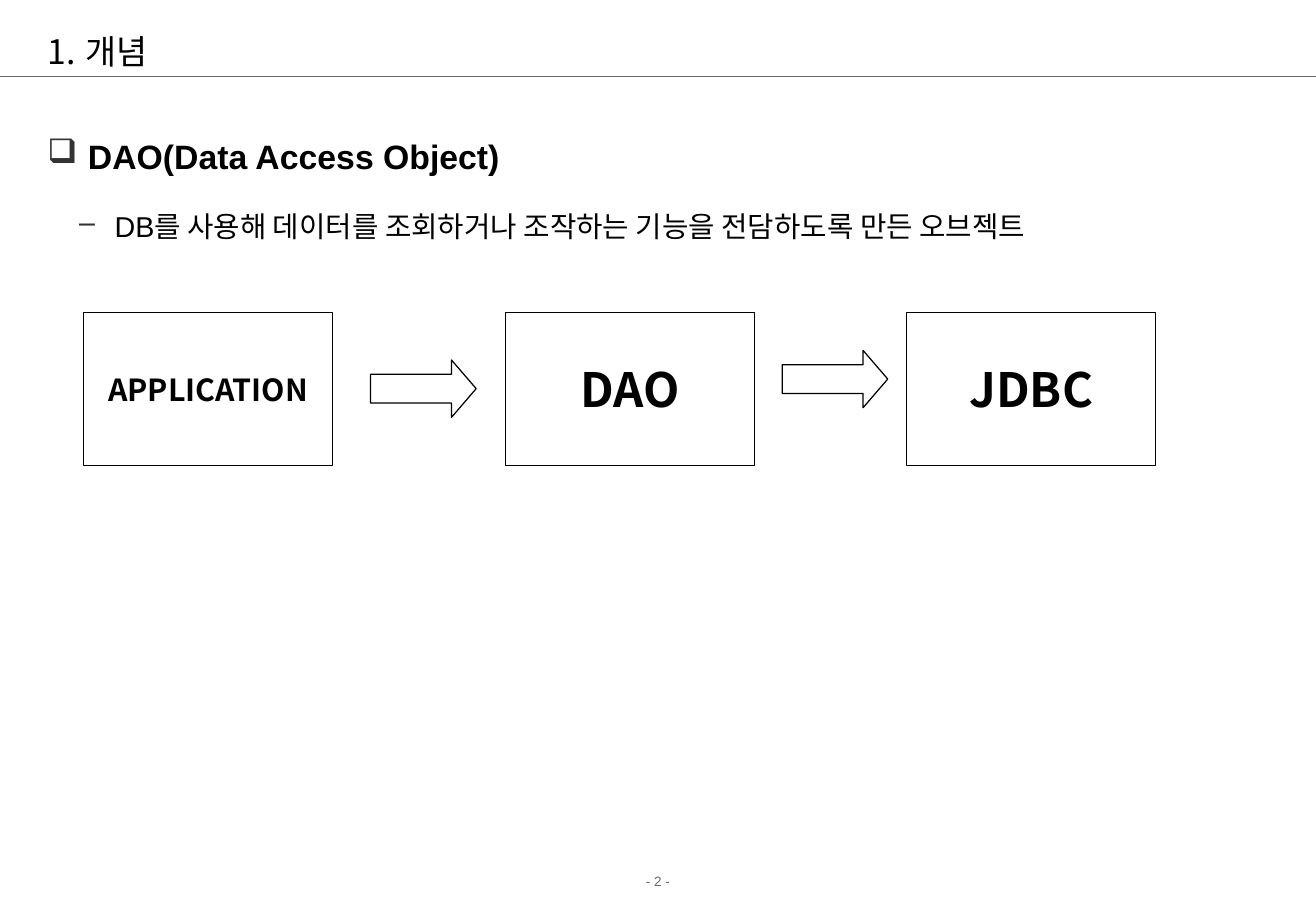
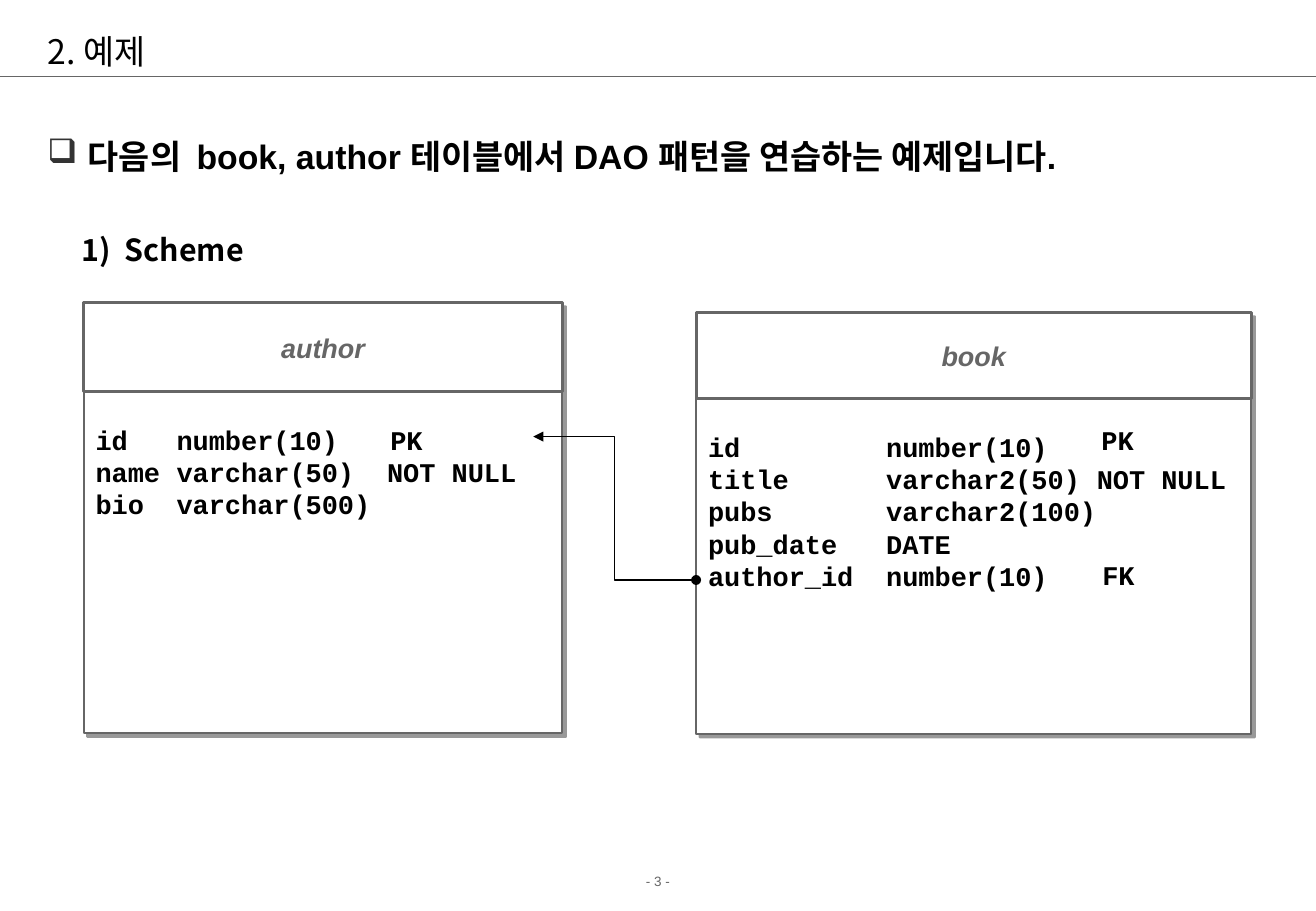
from lxml.etree import SubElement
from pptx import Presentation
from pptx.dml.color import RGBColor
from pptx.enum.shapes import MSO_CONNECTOR, MSO_SHAPE
from pptx.enum.text import MSO_ANCHOR, PP_ALIGN
from pptx.oxml.ns import qn
from pptx.util import Pt

WIDTH, HEIGHT = 780.13, 540
COLORS = {"black": "000000", "bullet": "333333", "gray": "666666", "white": "FFFFFF"}
SANS, MONO, KOREAN = "Arial", "Courier New", "Noto Sans CJK KR"
CONTENT_BOX = (21, 60, 732, 414)
MONO_ADVANCE = 9.6  # width of one 16 pt Courier New character


def color(name):
    return RGBColor.from_string(COLORS[name])


def add_xml(parent, tag, **attributes):
    return SubElement(parent, qn(tag), {key: str(value) for key, value in attributes.items()})


# Text helpers
def write(paragraph, text, size, font=SANS, ink="black", bold=False, italic=False):
    paragraph.text = text
    for run in paragraph.runs:
        run.font.size, run.font.name = Pt(size), font
        run.font.bold, run.font.italic = bold, italic
        run.font.color.rgb = color(ink)
        if font == KOREAN:
            add_xml(run.font._element, "a:ea", typeface=font)


def indent(paragraph, left, hanging):
    properties = paragraph._p.get_or_add_pPr()
    properties.set("marL", str(Pt(left)))
    properties.set("indent", str(Pt(-hanging)))
    return properties


def add_bullet(paragraph, left, hanging, ink, tag, **attributes):
    properties = indent(paragraph, left, hanging)
    bullet_color = add_xml(properties, "a:buClr")
    add_xml(bullet_color, "a:srgbClr", val=COLORS[ink])
    add_xml(properties, tag, **attributes)


def add_text_box(shapes, box, anchor=MSO_ANCHOR.TOP):
    text_frame = shapes.add_textbox(*map(Pt, box)).text_frame
    text_frame.word_wrap = True
    text_frame.vertical_anchor = anchor
    return text_frame


# Shape helpers
def add_outlined(shapes, kind, box, line="black", width=0.75, fill=None):
    shape = shapes.add_shape(kind, *map(Pt, box))
    shape.shadow.inherit = False
    if fill:
        shape.fill.solid()
        shape.fill.fore_color.rgb = color(fill)
    else:
        shape.fill.background()
    shape.line.color.rgb = color(line)
    shape.line.width = Pt(width)
    return shape


def add_label(shape, text, size, **style):
    text_frame = shape.text_frame
    text_frame.word_wrap = True
    text_frame.vertical_anchor = MSO_ANCHOR.MIDDLE
    paragraph = text_frame.paragraphs[0]
    paragraph.alignment = PP_ALIGN.CENTER
    write(paragraph, text, size, bold=True, **style)


def add_line(shapes, kind, start, end, ink):
    connector = shapes.add_connector(kind, *map(Pt, (*start, *end)))
    connector.line.color.rgb = color(ink)
    connector.line.width = Pt(0.75)
    add_xml(connector._element.spPr, "a:effectLst")
    return connector


# Shared slide frame: footer, rule and title
def add_framed_slide(presentation, page, title, numbered=False):
    slide = presentation.slides.add_slide(presentation.slide_layouts[6])
    footer = add_text_box(slide.shapes, (0, 514.2, WIDTH, 17.5)).paragraphs[0]
    footer.alignment = PP_ALIGN.CENTER
    footer.space_before = Pt(5)
    write(footer, f"- {page} -", 8, ink="gray")
    add_line(slide.shapes, MSO_CONNECTOR.STRAIGHT, (0, 45.2), (WIDTH, 45.2), "gray")
    heading = add_text_box(slide.shapes, (21, 15, 732, 30), MSO_ANCHOR.MIDDLE).paragraphs[0]
    write(heading, title, 20, KOREAN)
    if numbered:
        add_bullet(heading, 22.5, 22.5, "black", "a:buAutoNum", type="arabicPeriod")
    else:
        indent(heading, 22.5, 22.5)
    return slide


def add_topic(slide, text):
    text_frame = add_text_box(slide.shapes, CONTENT_BOX)
    topic = text_frame.paragraphs[0]
    topic.line_spacing, topic.space_before = 1.7, Pt(6.2)
    write(topic, text, 20, bold=True)
    add_bullet(topic, 24, 24, "bullet", "a:buChar", char="❑")
    return text_frame


# Row of layers joined by block arrows
def add_layer_flow(slide, left, top):
    for offset, text, size in ((250, "DAO", 28), (488, "JDBC", 28), (0, "APPLICATION", 18)):
        layer = add_outlined(slide.shapes, MSO_SHAPE.RECTANGLE, (left + offset, top, 147.6, 90.7))
        add_label(layer, text, size, font=KOREAN)
        text_frame = layer.text_frame
        text_frame.margin_left = text_frame.margin_right = 0
        text_frame.margin_top = text_frame.margin_bottom = 0
    for x, y in ((170.2, 28.2), (414.2, 22.5)):
        arrow = add_outlined(slide.shapes, MSO_SHAPE.RIGHT_ARROW, (left + x, top + y, 62.6, 34))
        arrow.adjustments[1] = 0.43


# Database table card: frame, name band and column list
def add_table_card(slide, box, band_height, name, columns, tab_characters):
    left, top, width, height = box
    shapes = slide.shapes.add_group_shape().shapes
    frame = add_outlined(shapes, MSO_SHAPE.RECTANGLE, box, "gray", 1.25, "white")
    shadow = add_xml(frame._element.spPr.find(qn("a:effectLst")), "a:outerShdw",
                     blurRad=0, dist=Pt(3), dir=2700000, algn="ctr", rotWithShape=0)
    shadow_color = add_xml(shadow, "a:srgbClr", val=COLORS["black"])
    add_xml(shadow_color, "a:alpha", val=40000)
    band = add_outlined(shapes, MSO_SHAPE.RECTANGLE, (left, top, width, band_height),
                        "gray", 1.75, "white")
    add_label(band, name, 16, ink="gray", italic=True)

    list_box = (left, top + band_height + 15, width, 18 * len(columns) + 11)
    text_frame = add_text_box(shapes, list_box)
    text_frame.text = "\n".join(columns)
    for paragraph, column in zip(text_frame.paragraphs, columns):
        write(paragraph, column, 16, MONO, bold=True)
        tabs = add_xml(paragraph._p.get_or_add_pPr(), "a:tabLst")
        for count in tab_characters:
            add_xml(tabs, "a:tab", pos=Pt(count * MONO_ADVANCE), algn="l")


def add_key_mark(slide, text, left, top):
    paragraph = add_text_box(slide.shapes, (left, top, 40, 26.5)).paragraphs[0]
    paragraph.alignment = PP_ALIGN.CENTER
    write(paragraph, text, 16, MONO, bold=True)


# Slides
def add_concept_slide(presentation):
    slide = add_framed_slide(presentation, 2, "개념", numbered=True)
    detail = add_topic(slide, "DAO(Data Access Object)").add_paragraph()
    detail.level = 1
    detail.line_spacing, detail.space_before = 1.7, Pt(5.2)
    write(detail, "DB를 사용해 데이터를 조회하거나 조작하는 기능을 전담하도록 만든 오브젝트", 17)
    add_bullet(detail, 39.8, 21, "bullet", "a:buChar", char="–")
    add_layer_flow(slide, 49.5, 185.2)


def add_example_slide(presentation):
    slide = add_framed_slide(presentation, 3, "2. 예제")
    text_frame = add_topic(slide, "다음의  book, author 테이블에서 DAO 패턴을 연습하는 예제입니다.")
    scheme = text_frame.add_paragraph()
    scheme.space_before = Pt(32.5)
    write(scheme, "1)\tScheme", 18, KOREAN, bold=True)
    indent(scheme, 46, 25.5)

    add_table_card(slide, (49.6, 179.5, 283.8, 255.2), 52.8, "author",
                   ("id\tnumber(10)", "name\tvarchar(50)\tNOT NULL", "bio\tvarchar(500)"),
                   (5, 18))
    add_table_card(slide, (412.7, 185.4, 329.1, 249.6), 51, "book",
                   ("id\tnumber(10)", "title\tvarchar2(50)\tNOT NULL", "pubs\tvarchar2(100)",
                    "pub_date\tDATE", "author_id\tnumber(10)"),
                   (11, 24))

    # Foreign key link
    link = add_line(slide.shapes, MSO_CONNECTOR.ELBOW, (412.7, 343.8), (316.2, 258.8), "black")
    outline = link.line._get_or_add_ln()
    add_xml(outline, "a:headEnd", type="oval")
    add_xml(outline, "a:tailEnd", type="triangle")
    for text, left, top in (("PK", 221, 247.7), ("PK", 642.5, 247.7), ("FK", 643, 327.3)):
        add_key_mark(slide, text, left, top)


def main():
    presentation = Presentation()
    presentation.slide_width, presentation.slide_height = Pt(WIDTH), Pt(HEIGHT)
    add_concept_slide(presentation)
    add_example_slide(presentation)
    presentation.save("out.pptx")


if __name__ == "__main__":
    main()
